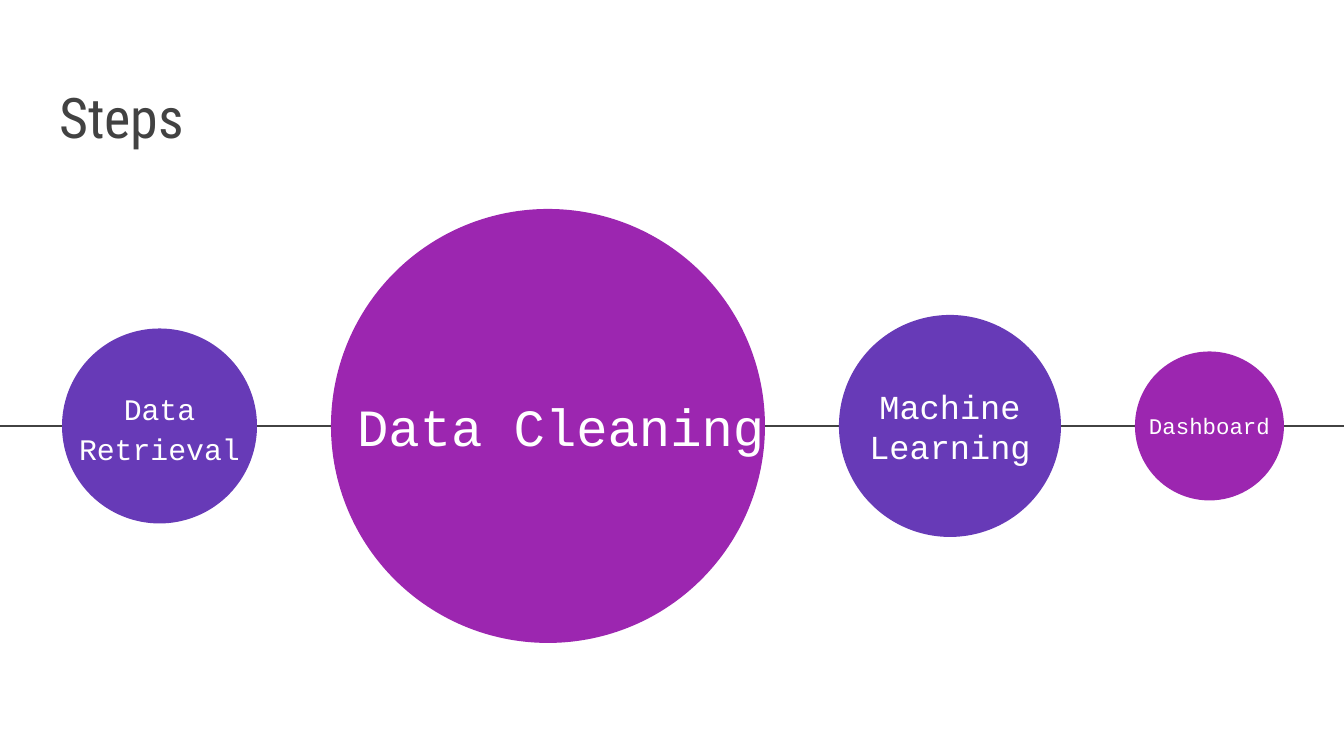
from pptx import Presentation
from pptx import util as u
from pptx.dml.color import RGBColor
from pptx.enum import shapes, text
from pptx.oxml.ns import qn
from lxml import etree

INK = RGBColor(0x42, 0x42, 0x42)
WHITE = RGBColor(0xFF, 0xFF, 0xFF)
VIOLET = RGBColor(0x67, 0x3A, 0xB7)
PURPLE = RGBColor(0x9C, 0x26, 0xB0)

CENTER = text.PP_ALIGN.CENTER
LEFT = text.PP_ALIGN.LEFT

TITLE = "Steps"
# label, diameter, fill, font size, text offset, text width, paragraph format
STEPS = [
    ("Data Retrieval", 195, VIOLET, 16, 0, 195, {"alignment": CENTER, "line_spacing": 1.12}),
    ("Data Cleaning", 434, PURPLE, 28, 13, 468, {"alignment": LEFT}),
    ("Machine Learning", 222, VIOLET, 18, 0, 222, {"alignment": CENTER}),
    ("Dashboard", 149, PURPLE, 12, 0, 149, {"alignment": CENTER}),
]

WIDTH, HEIGHT = 1344, 756
FIRST_LEFT, GAP, AXIS = 62, 74, 426
LABEL_HEIGHT = 88


def px(length):
    return u.Emu(round(length * 914400 / 134.4))


def apply(target, values):
    for name, value in values.items():
        setattr(target, name, value)


def add_text(page, words, bounds, anchor, font, color, paragraph):
    box = page.shapes.add_textbox(*map(px, bounds))
    inset = u.Inches(0.1)
    apply(box.text_frame, {
        "word_wrap": True, "vertical_anchor": anchor,
        "margin_left": inset, "margin_right": inset,
        "margin_top": inset, "margin_bottom": inset,
    })
    para = box.text_frame.paragraphs[0]
    apply(para, paragraph)
    span = para.add_run()
    span.text = words
    apply(span.font, font)
    span.font.color.rgb = color


def add_axis(page):
    line = page.shapes.add_connector(
        shapes.MSO_CONNECTOR.STRAIGHT, px(0), px(AXIS), px(WIDTH), px(AXIS))
    line.line.color.rgb = INK
    line.line.width = u.Pt(1.5)
    etree.SubElement(line._element.spPr, qn("a:effectLst"))


def add_steps(page):
    left = FIRST_LEFT
    for label, diameter, fill, size, offset, width, paragraph in STEPS:
        circle = page.shapes.add_shape(
            shapes.MSO_SHAPE.OVAL, px(left), px(AXIS - diameter / 2),
            px(diameter), px(diameter))
        circle.shadow.inherit = False
        circle.fill.solid()
        circle.fill.fore_color.rgb = fill
        circle.line.fill.background()
        add_text(page, label,
                 (left + offset, AXIS - LABEL_HEIGHT / 2, width, LABEL_HEIGHT),
                 text.MSO_ANCHOR.MIDDLE,
                 {"name": "Courier New", "size": u.Pt(size)}, WHITE, paragraph)
        left += diameter + GAP


def main():
    deck = Presentation()
    deck.slide_width, deck.slide_height = px(WIDTH), px(HEIGHT)
    page = deck.slides.add_slide(deck.slide_layouts[6])
    add_axis(page)
    add_text(page, TITLE, (46, 55, 1252, 108), text.MSO_ANCHOR.BOTTOM,
             {"name": "Roboto Condensed", "size": u.Pt(30)}, INK, {"alignment": LEFT})
    add_steps(page)
    deck.save("out.pptx")


if __name__ == "__main__":
    main()
